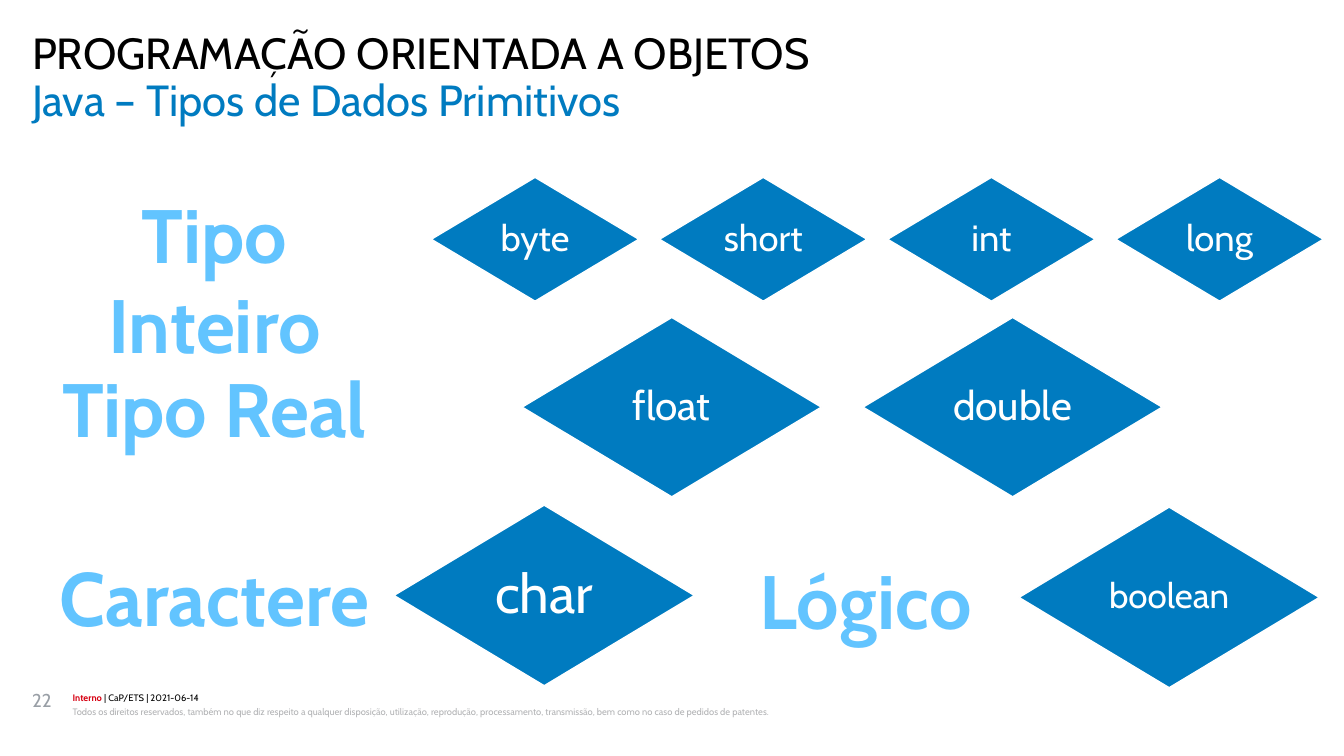
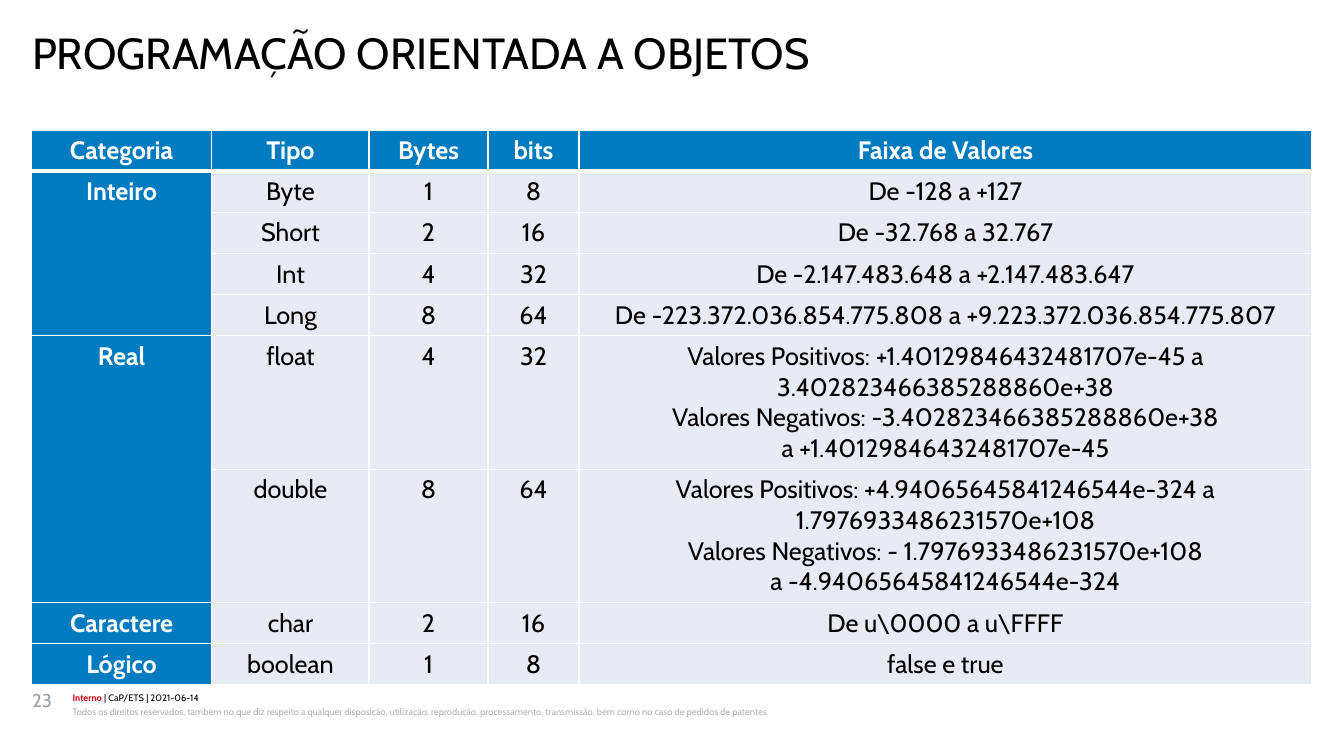
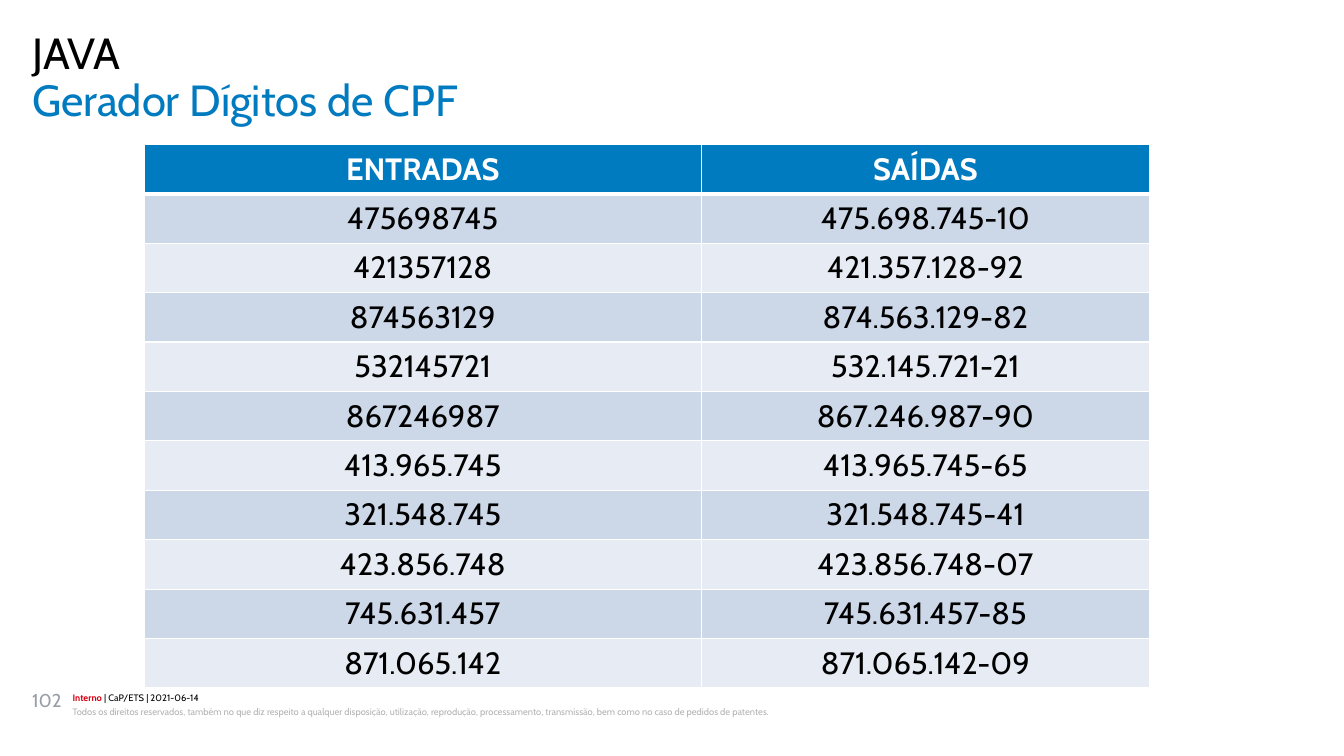
"""Three slides on Java primitive types and generated CPF digits."""
from dataclasses import dataclass
from itertools import chain

from pptx import Presentation
from pptx.dml.color import RGBColor
from pptx.enum import shapes, text
from pptx.oxml import parse_xml
from pptx.oxml.ns import nsdecls
from pptx.util import Cm, Pt


@dataclass(frozen=True)
class Theme:
    font: str = "Cabin"
    blue: str = "007BC0"
    sky: str = "62C4FF"
    navy: str = "004975"
    black: str = "000000"
    white: str = "FFFFFF"
    red: str = "D70012"
    number: str = "999FA6"
    legal: str = "B2B3B5"
    band_dark: str = "CCD7E8"
    band_light: str = "E7ECF4"
    heading_size: float = 31.1
    label_size: float = 54
    number_size: float = 13.3
    footer_size: float = 6.7


THEME = Theme()

COURSE = "PROGRAMAÇÃO ORIENTADA A OBJETOS"
CLASSIFICATION = [("Interno", THEME.red, True),
                  (" | CaP/ETS | 2021-06-14", THEME.black, False)]
RIGHTS = ("Todos os direitos reservados, também no que diz respeito a qualquer disposição, "
          "utilização, reprodução, processamento, transmissão, bem como no caso de pedidos "
          "de patentes.")

CATEGORY_LABELS = [("Tipo Inteiro", 0.53, 4.6), ("Tipo Real", 0.53, 8.99),
                   ("Caractere", 0.53, 13.77), ("Lógico", 16.94, 13.84)]
TYPE_ROWS = [
    dict(names=["byte", "short", "int", "long"], left=10.87, top=4.47, step=5.75,
         width=5.23, height=3.12, size=26),
    dict(names=["float", "double"], left=13.16, top=8, step=8.59,
         width=7.54, height=4.52, size=29),
    dict(names=["char"], left=9.93, top=12.73, step=0, width=7.57, height=4.55, size=39),
    dict(names=["boolean"], left=25.68, top=12.78, step=0, width=7.57, height=4.55, size=25),
]

RANGE_HEADER = ["Categoria", "Tipo", "Bytes", "bits", "Faixa de Valores"]
RANGES = {
    "Inteiro": [
        ("Byte", "1", "8", "De -128 a +127"),
        ("Short", "2", "16", "De -32.768 a 32.767"),
        ("Int", "4", "32", "De -2.147.483.648 a +2.147.483.647"),
        ("Long", "8", "64", "De -223.372.036.854.775.808 a +9.223.372.036.854.775.807"),
    ],
    "Real": [
        ("float", "4", "32",
         "Valores Positivos: +1.40129846432481707e-45 a 3.402823466385288860e+38\n"
         "Valores Negativos: -3.402823466385288860e+38\n"
         "a +1.40129846432481707e-45"),
        ("double", "8", "64",
         "Valores Positivos: +4.94065645841246544e-324 a\n"
         "1.7976933486231570e+108\n"
         "Valores Negativos: - 1.7976933486231570e+108\n"
         "a -4.94065645841246544e-324"),
    ],
    "Caractere": [("char", "2", "16", r"De u\0000 a u\FFFF")],
    "Lógico": [("boolean", "1", "8", "false e true")],
}
RANGE_WIDTHS = [4.55, 3.96, 3, 2.29, 18.47]
ROW_HEIGHT, TALL_ROW_HEIGHT = 1.03, 3.36

CPF_ROWS = [
    ("ENTRADAS", "SAÍDAS"),
    ("475698745", "475.698.745-10"),
    ("421357128", "421.357.128-92"),
    ("874563129", "874.563.129-82"),
    ("532145721", "532.145.721-21"),
    ("867246987", "867.246.987-90"),
    ("413.965.745", "413.965.745-65"),
    ("321.548.745", "321.548.745-41"),
    ("423.856.748", "423.856.748-07"),
    ("745.631.457", "745.631.457-85"),
    ("871.065.142", "871.065.142-09"),
]


def add_run(paragraph, wording, size, color, bold=False):
    run = paragraph.add_run()
    run.text = wording
    run.font.name = THEME.font
    run.font.size = Pt(size)
    run.font.bold = bold
    run.font.color.rgb = RGBColor.from_string(color)
    return run


def prepare_frame(shape, anchor=text.MSO_ANCHOR.TOP, margin=0):
    frame = shape.text_frame
    frame.word_wrap = True
    frame.auto_size = text.MSO_AUTO_SIZE.NONE
    frame.vertical_anchor = anchor
    frame.margin_left = frame.margin_right = Cm(margin)
    frame.margin_top = frame.margin_bottom = Cm(margin / 2)
    return frame.paragraphs[0]


def add_line(slide, box, runs, size, spacing=None):
    paragraph = prepare_frame(slide.shapes.add_textbox(*map(Cm, box)))
    paragraph.line_spacing = spacing
    for wording, color, bold in runs:
        add_run(paragraph, wording, size, color, bold)


def fill_heading(placeholder, wording, top, color):
    placeholder.left, placeholder.top = Cm(0.81), Cm(top)
    placeholder.width, placeholder.height = Cm(32.26), Cm(1.2)
    paragraph = prepare_frame(placeholder)
    properties = paragraph._p.get_or_add_pPr()
    properties.set("marL", "0")
    properties.set("indent", "0")
    properties.append(parse_xml(f"<a:buNone {nsdecls('a')}/>"))
    paragraph.alignment = text.PP_ALIGN.LEFT
    paragraph.line_spacing = 0.89
    paragraph.space_before = Pt(0)
    add_run(paragraph, wording, THEME.heading_size, color)


def start_slide(deck, number, section, topic=None):
    slide = deck.slides.add_slide(deck.slide_layouts[1])
    title, body = slide.placeholders
    fill_heading(body, section, 0.81, THEME.black)
    if topic:
        fill_heading(title, topic, 2.01, THEME.blue)
    else:
        title.element.getparent().remove(title.element)
    add_line(slide, (1.83, 17.42, 28.27, 0.33), CLASSIFICATION, THEME.footer_size, 1.07)
    add_line(slide, (1.83, 17.75, 28.27, 0.66), [(RIGHTS, THEME.legal, False)],
             THEME.footer_size, 1.2)
    add_line(slide, (0.81, 17.37, 0.89, 1.27), [(str(number), THEME.number, False)],
             THEME.number_size)
    return slide


def add_category_label(slide, wording, left, top):
    label = slide.shapes.add_textbox(Cm(left), Cm(top), Cm(9.75), Cm(2.57))
    paragraph = prepare_frame(label, margin=0.25)
    paragraph.alignment = text.PP_ALIGN.CENTER
    run = add_run(paragraph, wording, THEME.label_size, THEME.sky, True)
    run.font._element.insert(0, parse_xml(
        f'<a:ln {nsdecls("a")} w="{Pt(1.75)}"><a:solidFill>'
        f'<a:srgbClr val="{THEME.navy}"/></a:solidFill></a:ln>'))


def add_type_row(slide, names, left, top, step, width, height, size):
    for position, name in enumerate(names):
        diamond = slide.shapes.add_shape(
            shapes.MSO_SHAPE.DIAMOND, Cm(left + position * step), Cm(top), Cm(width), Cm(height))
        diamond.shadow.inherit = False
        diamond.fill.solid()
        diamond.fill.fore_color.rgb = RGBColor.from_string(THEME.blue)
        diamond.line.color.rgb = RGBColor.from_string(THEME.white)
        diamond.line.width = Pt(1)
        paragraph = prepare_frame(diamond, text.MSO_ANCHOR.MIDDLE)
        paragraph.alignment = text.PP_ALIGN.CENTER
        paragraph.line_spacing = 0.9
        add_run(paragraph, name, size, THEME.white)


def set_borders(cell, top, bottom):
    properties = cell._tc.get_or_add_tcPr()
    for side, width in (("L", 1), ("R", 1), ("T", top), ("B", bottom)):
        properties.append(parse_xml(
            f'<a:ln{side} {nsdecls("a")} w="{Pt(width)}"><a:solidFill>'
            f'<a:srgbClr val="{THEME.white}"/></a:solidFill></a:ln{side}>'))


def add_grid(slide, rows, left, top, widths, heights, size, bands, margins, category_column=False):
    table = slide.shapes.add_table(len(rows), len(widths), Cm(left), Cm(top),
                                   Cm(sum(widths)), Cm(sum(heights))).table
    for column, width in zip(table.columns, widths):
        column.width = Cm(width)
    for row, height in zip(table.rows, heights):
        row.height = Cm(height)
    for r, c in ((r, c) for r in range(len(rows)) for c in range(len(widths))):
        cell = table.cell(r, c)
        strong = r == 0 or (category_column and c == 0)
        set_borders(cell, 3 if r == 1 else 1, 3 if r == 0 else 1)
        cell.fill.solid()
        cell.fill.fore_color.rgb = RGBColor.from_string(
            THEME.blue if strong else bands[(r - 1) % len(bands)])
        cell.margin_left = cell.margin_right = Cm(margins[0])
        cell.margin_top = cell.margin_bottom = Cm(margins[1])
        for i, wording in enumerate(rows[r][c].split("\n") if rows[r][c] else []):
            paragraph = cell.text_frame.add_paragraph() if i else cell.text_frame.paragraphs[0]
            paragraph.alignment = text.PP_ALIGN.CENTER
            add_run(paragraph, wording, size, THEME.white if strong else THEME.black, strong)
    return table


def build_primitive_types(deck):
    slide = start_slide(deck, 22, COURSE, "Java – Tipos de Dados Primitivos")
    for label in CATEGORY_LABELS:
        add_category_label(slide, *label)
    for type_row in TYPE_ROWS:
        add_type_row(slide, **type_row)


def build_value_ranges(deck):
    slide = start_slide(deck, 23, COURSE)
    rows = [RANGE_HEADER, *chain.from_iterable(
        [("" if i else category, *entry) for i, entry in enumerate(entries)]
        for category, entries in RANGES.items())]
    heights = [TALL_ROW_HEIGHT if "\n" in row[-1] else ROW_HEIGHT for row in rows]
    table = add_grid(slide, rows, 0.79, 3.28, RANGE_WIDTHS, heights, 18,
                     [THEME.band_light], (0.25, 0.13), category_column=True)
    first = 1
    for entries in RANGES.values():
        last = first + len(entries) - 1
        if last > first:
            table.cell(first, 0).merge(table.cell(last, 0))
        first = last + 1


def build_cpf_digits(deck):
    slide = start_slide(deck, 102, "JAVA", "Gerador Dígitos de CPF")
    add_grid(slide, CPF_ROWS, 3.63, 3.64, [14.05, 11.28], [1.23] * len(CPF_ROWS), 22,
             [THEME.band_dark, THEME.band_light], (0.28, 0.15))


def main():
    deck = Presentation()
    deck.slide_width, deck.slide_height = Cm(33.87), Cm(19.05)
    build_primitive_types(deck)
    build_value_ranges(deck)
    build_cpf_digits(deck)
    deck.save("out.pptx")


if __name__ == "__main__":
    main()
